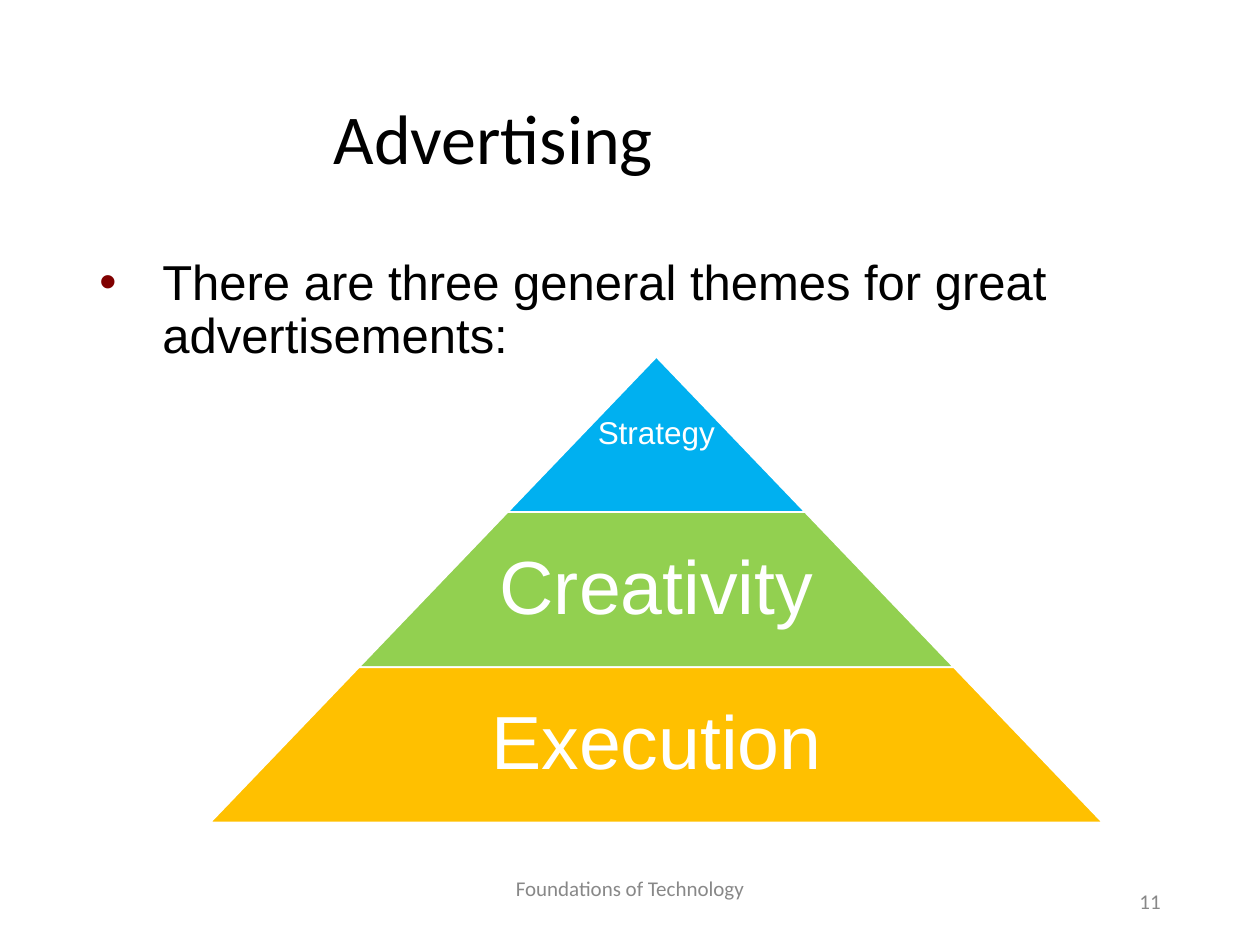
from lxml.etree import SubElement
from pptx import Presentation
from pptx.dml.color import RGBColor
from pptx.enum.shapes import MSO_SHAPE
from pptx.enum.text import MSO_ANCHOR, PP_ALIGN
from pptx.oxml.ns import qn
from pptx.util import Pt

COLORS = {
    "black": "000000",
    "white": "FFFFFF",
    "gray": "888888",
    "maroon": "800000",
    "blue": "00B0F0",
    "green": "92D050",
    "amber": "FFC000",
}

deck = Presentation()
deck.slide_width = Pt(720)
deck.slide_height = Pt(540)
page = deck.slides.add_slide(deck.slide_layouts[6])


def add_text(text, left, top, width, height, size, font="Arial", color="black",
             align=PP_ALIGN.LEFT, anchor=MSO_ANCHOR.MIDDLE, spacing=0.9,
             margins=(7.2, 3.6), bullet=None):
    box = page.shapes.add_textbox(Pt(left), Pt(top), Pt(width), Pt(height))
    frame = box.text_frame
    frame.word_wrap = True
    frame.vertical_anchor = anchor
    frame.margin_left = frame.margin_right = Pt(margins[0])
    frame.margin_top = frame.margin_bottom = Pt(margins[1])
    para = frame.paragraphs[0]
    para.alignment = align
    para.line_spacing = spacing
    if bullet:
        properties = para._p.get_or_add_pPr()
        properties.set("marL", str(Pt(36)))
        properties.set("indent", str(Pt(-36)))
        bullet_color = SubElement(properties, qn("a:buClr"))
        SubElement(bullet_color, qn("a:srgbClr"), val=COLORS["maroon"])
        SubElement(properties, qn("a:buFont"), typeface="Arial")
        SubElement(properties, qn("a:buChar"), char=bullet)
    span = para.add_run()
    span.text = text
    span.font.name = font
    span.font.size = Pt(size)
    span.font.color.rgb = RGBColor.from_string(COLORS[color])


add_text("Advertising", 183.6, 28.8, 486.7, 104.4, 40, font="Calibri")
add_text("There are three general themes for great advertisements:",
         49.7, 144, 620.6, 342.7, 28, anchor=MSO_ANCHOR.TOP, bullet="•")
add_text("Foundations of Technology", 238.3, 493.2, 243.4, 28.8, 12,
         font="Calibri", color="gray", align=PP_ALIGN.CENTER, spacing=1.0)
add_text("11", 508.3, 500.4, 162, 28.8, 12,
         font="Calibri", color="gray", align=PP_ALIGN.RIGHT, spacing=1.0)

pyramid_center = 375.1
pyramid_top = 203.9
tier_height = 88.7
tier_step = 170
tiers = [
    ("Strategy", "blue", 18, 1),
    ("Creativity", "green", 43, 0.65),
    ("Execution", "amber", 43, 0.65),
]
for index, (label, color, size, text_share) in enumerate(tiers):
    width = tier_step * (index + 1)
    top = pyramid_top + tier_height * index
    tier = page.shapes.add_shape(
        MSO_SHAPE.TRAPEZOID, Pt(pyramid_center - width / 2), Pt(top),
        Pt(width), Pt(tier_height))
    tier.adjustments[0] = tier_step / 2 / tier_height
    tier.shadow.inherit = False
    tier.fill.solid()
    tier.fill.fore_color.rgb = RGBColor.from_string(COLORS[color])
    tier.line.color.rgb = RGBColor.from_string(COLORS["white"])
    tier.line.width = Pt(1)
    text_width = width * text_share
    add_text(label, pyramid_center - text_width / 2, top, text_width, tier_height,
             size, color="white", align=PP_ALIGN.CENTER, margins=(4.3, 4.3))

deck.save("out.pptx")
